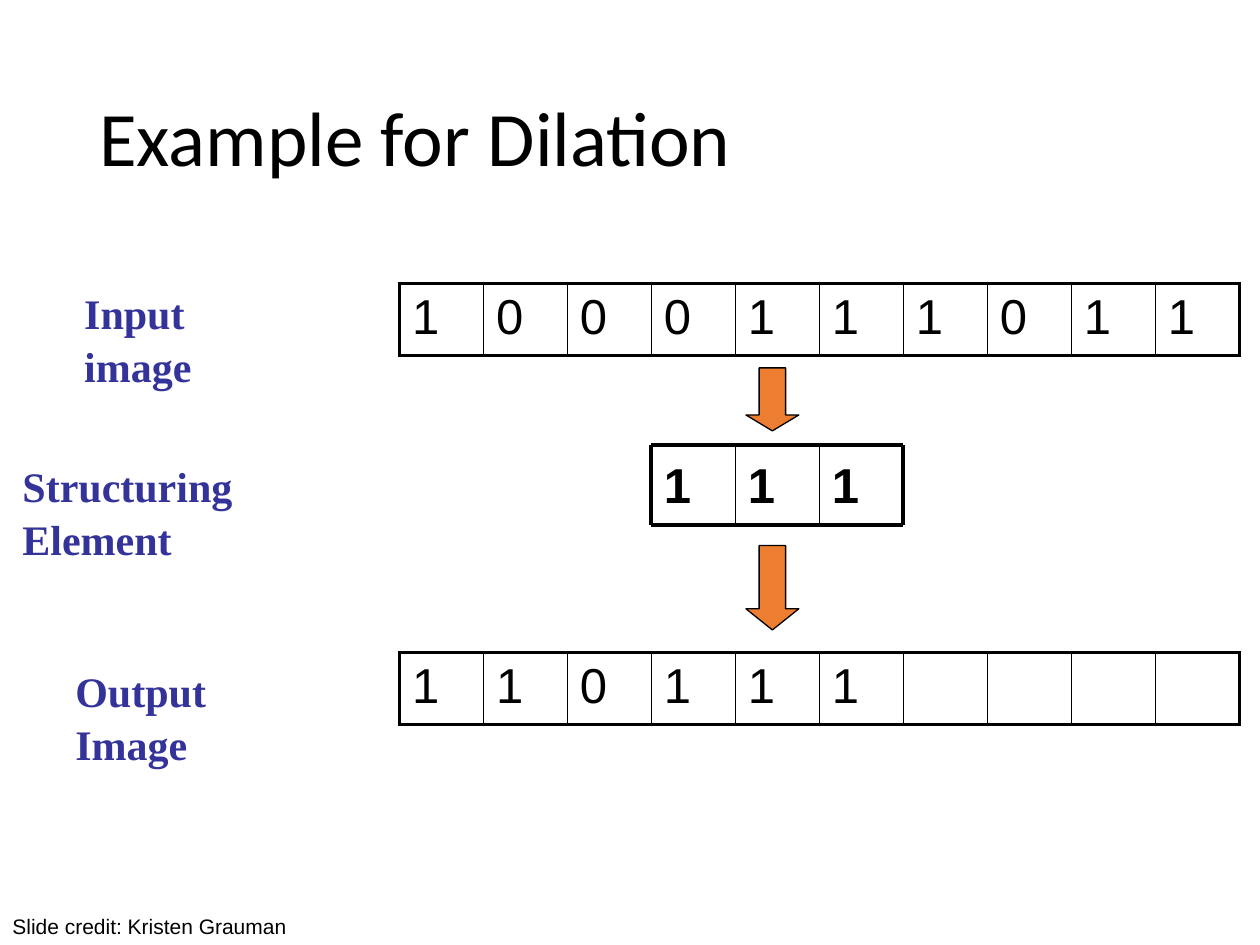
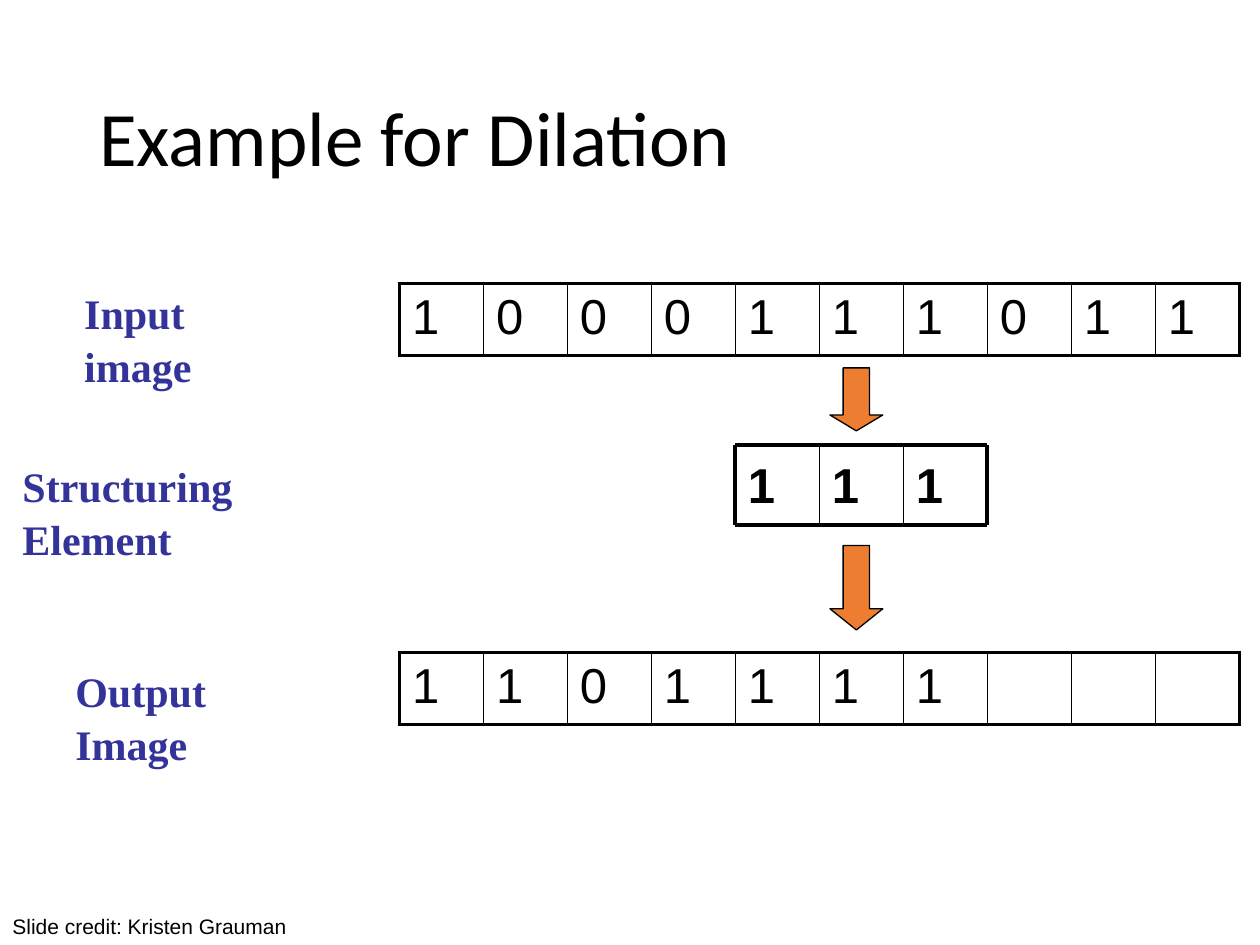
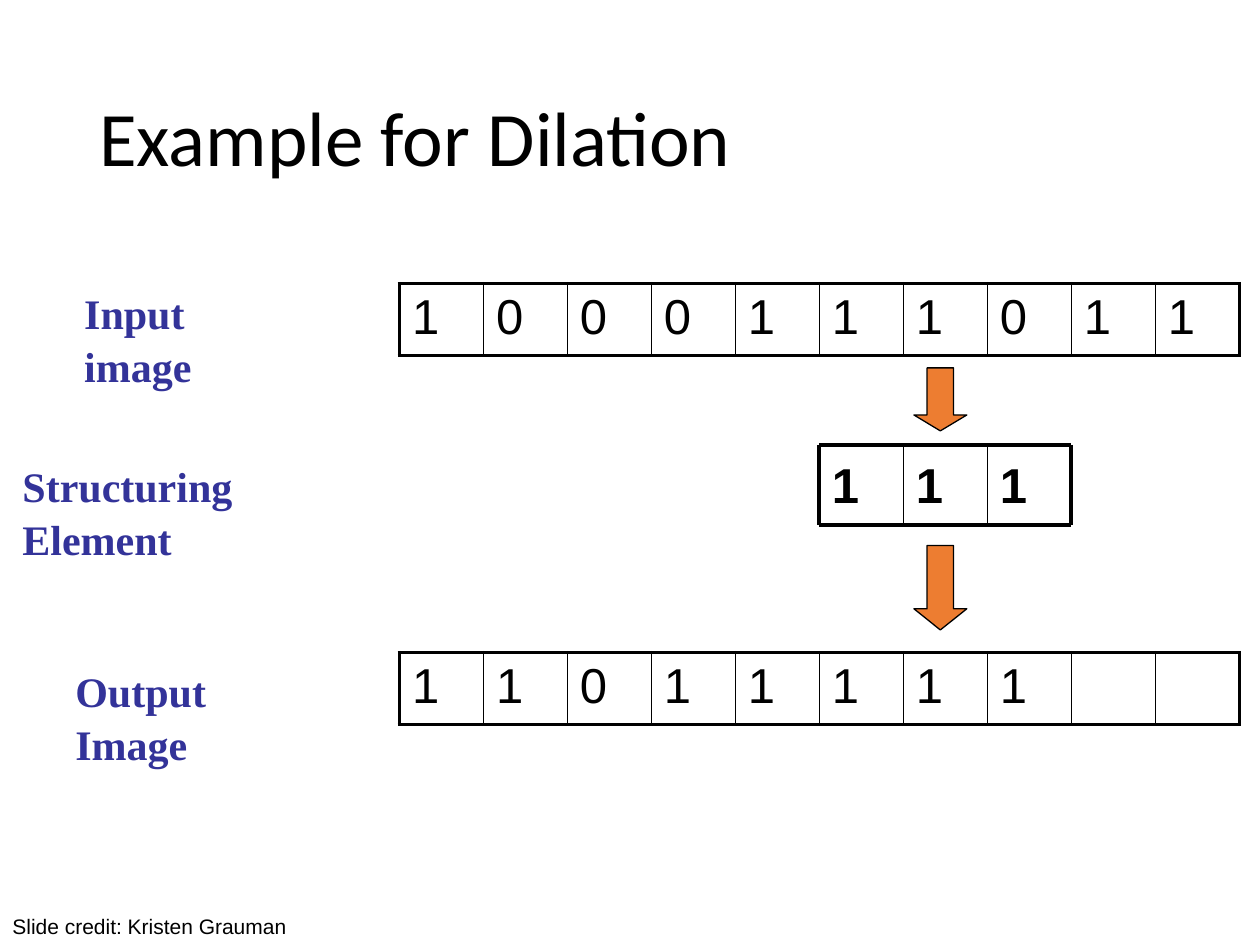
"""Build three slides that step a structuring element along a row of pixels."""
from lxml.etree import SubElement
from pptx import Presentation
from pptx.dml.color import RGBColor
from pptx.enum.shapes import MSO_CONNECTOR, MSO_SHAPE
from pptx.enum.text import MSO_ANCHOR, MSO_AUTO_SIZE
from pptx.oxml.ns import qn
from pptx.util import Inches, Pt

TITLE = "Example for Dilation"
CREDIT = "Slide credit: Kristen Grauman"
INPUT_PIXELS = "1000111011"
ELEMENT = "111"
STEPS = [
    {"element_start": 3, "output": "110111"},
    {"element_start": 4, "output": "1101111"},
    {"element_start": 5, "output": "11011111"},
]
LABELS = [
    ("Input image", 0.57, 2.21, 1.8),
    ("Structuring Element", 0.08, 3.58, 2.89),
    ("Output Image", 0.5, 5.21, 2.04),
]
ARROWS = [(4.33, 0.67, 0.4), (2.92, 0.5, 0.3)]

COLORS = {"ink": "000000", "label": "333399", "arrow": "ED7D31", "paper": "FFFFFF"}
CELL = 2 / 3
ROW_LEFT, ROW_HEIGHT = 3.17, 0.57
INPUT_TOP, OUTPUT_TOP = 2.25, 5.18
ELEMENT_TOP, ELEMENT_BOTTOM = 3.53, 4.17
ARROW_WIDTH = 0.42
THICK, THIN = 2.25, 1


def color(name):
    return RGBColor.from_string(COLORS[name])


def write(para, text, size, font="Arial", ink="ink", bold=False):
    span = para.add_run()
    span.text = text
    span.font.name = font
    span.font.size = Pt(size)
    span.font.bold = bold
    span.font.color.rgb = color(ink)


def add_text(page, text, left, top, width, height, size, spacing=None, **style):
    box = page.shapes.add_textbox(Inches(left), Inches(top), Inches(width), Inches(height))
    frame = box.text_frame
    frame.word_wrap = True
    frame.paragraphs[0].line_spacing = spacing
    write(frame.paragraphs[0], text, size, **style)
    return frame


def set_borders(cell, widths):
    properties = cell._tc.get_or_add_tcPr()
    for index, (side, width) in enumerate(widths.items()):
        border = properties.makeelement(qn(f"a:ln{side}"), {"w": str(Pt(width))})
        properties.insert(index, border)
        fill = SubElement(border, qn("a:solidFill"))
        SubElement(fill, qn("a:srgbClr"), val=COLORS["ink"])


def add_pixel_row(page, top, pixels):
    count = len(INPUT_PIXELS)
    table = page.shapes.add_table(
        1, count, Inches(ROW_LEFT), Inches(top), Inches(CELL * count), Inches(ROW_HEIGHT)
    ).table
    table.first_row = table.horz_banding = False
    for index, pixel in enumerate(pixels.ljust(count)):
        cell = table.cell(0, index)
        cell.fill.solid()
        cell.fill.fore_color.rgb = color("paper")
        if pixel.strip():
            write(cell.text_frame.paragraphs[0], pixel, 28)
        set_borders(cell, {
            "L": THICK if index == 0 else THIN,
            "R": THICK if index == count - 1 else THIN,
            "T": THICK,
            "B": THICK,
        })


def add_line(page, start, end, width):
    line = page.shapes.add_connector(MSO_CONNECTOR.STRAIGHT, *map(Inches, start + end))
    line.line.color.rgb = color("ink")
    line.line.width = Pt(width)
    SubElement(line._element.spPr, qn("a:effectLst"))


def add_element(page, left):
    count = len(ELEMENT)
    right = left + CELL * count
    for index, value in enumerate(ELEMENT):
        frame = add_text(page, value, left + CELL * index, ELEMENT_TOP, CELL,
                         ELEMENT_BOTTOM - ELEMENT_TOP, 28, bold=True)
        frame.margin_top = Inches(0.08)
    for y in (ELEMENT_TOP, ELEMENT_BOTTOM):
        add_line(page, (left, y), (right, y), THICK)
    for index in range(count + 1):
        x = left + CELL * index
        width = THICK if index in (0, count) else THIN
        add_line(page, (x, ELEMENT_TOP), (x, ELEMENT_BOTTOM), width)


def add_arrow(page, center, top, height, head):
    arrow = page.shapes.add_shape(
        MSO_SHAPE.DOWN_ARROW, Inches(center - ARROW_WIDTH / 2), Inches(top),
        Inches(ARROW_WIDTH), Inches(height)
    )
    arrow.adjustments[0] = 0.5
    arrow.adjustments[1] = head
    arrow.shadow.inherit = False
    arrow.fill.solid()
    arrow.fill.fore_color.rgb = color("arrow")
    arrow.line.color.rgb = color("ink")
    arrow.line.width = Pt(0.75)


def add_step(deck, step):
    page = deck.slides.add_slide(deck.slide_layouts[6])
    title = add_text(page, TITLE, 0.69, 0.4, 8.62, 1.45, 44, spacing=0.9, font="Calibri")
    title.vertical_anchor = MSO_ANCHOR.MIDDLE
    add_pixel_row(page, INPUT_TOP, INPUT_PIXELS)
    add_pixel_row(page, OUTPUT_TOP, step["output"])
    for text, left, top, width in LABELS:
        label = add_text(page, text, left, top, width, 0.5, 24, spacing=1.06,
                         font="Times New Roman", ink="label", bold=True)
        label.auto_size = MSO_AUTO_SIZE.SHAPE_TO_FIT_TEXT
    element_left = ROW_LEFT + CELL * step["element_start"]
    add_element(page, element_left)
    for top, height, head in ARROWS:
        add_arrow(page, element_left + CELL * len(ELEMENT) / 2 - 0.04, top, height, head)
    add_text(page, CREDIT, 0, 7.2, 4.58, 0.3, 12)


def main():
    deck = Presentation()
    deck.slide_width, deck.slide_height = Inches(10), Inches(7.5)
    for step in STEPS:
        add_step(deck, step)
    deck.save("out.pptx")


if __name__ == "__main__":
    main()
